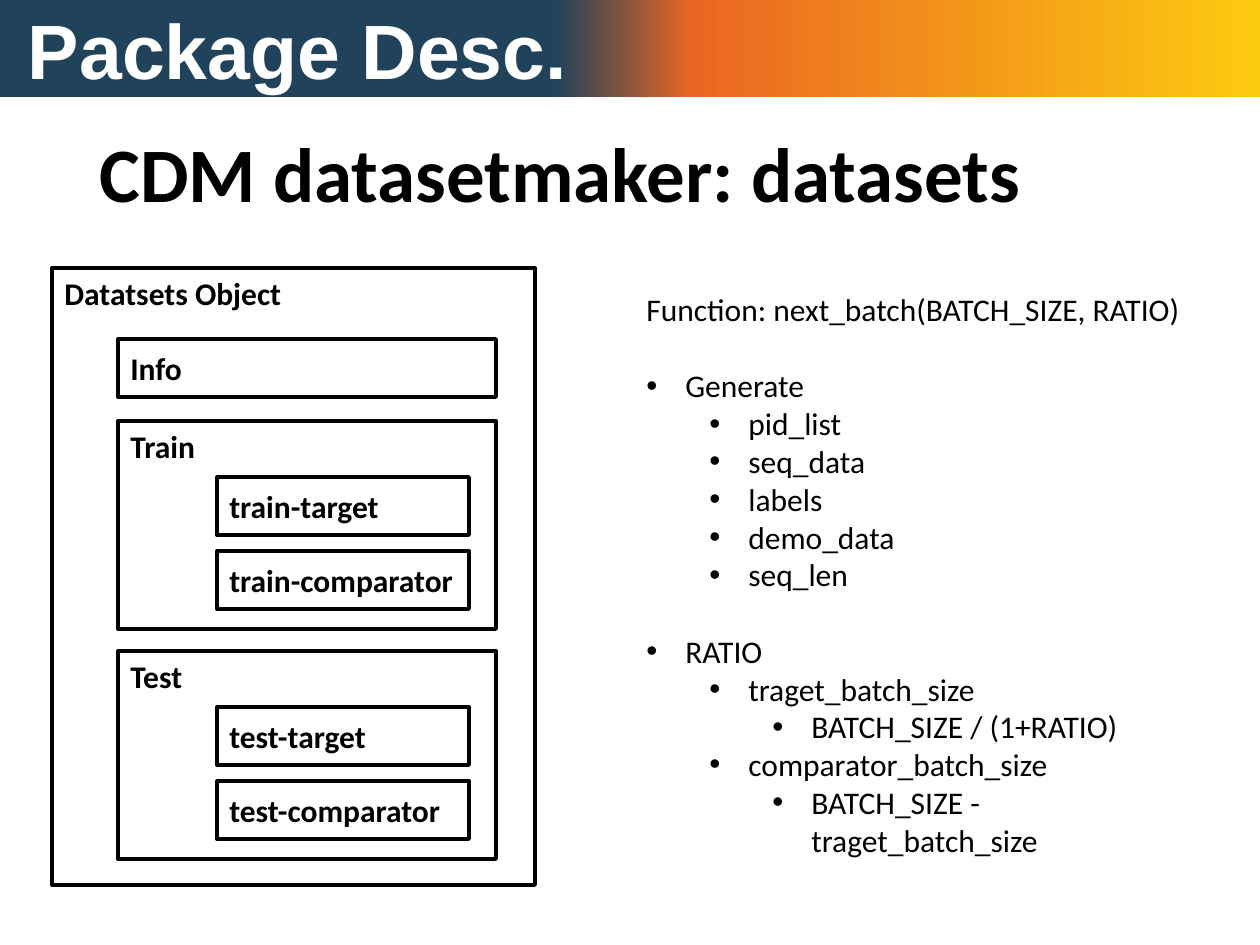
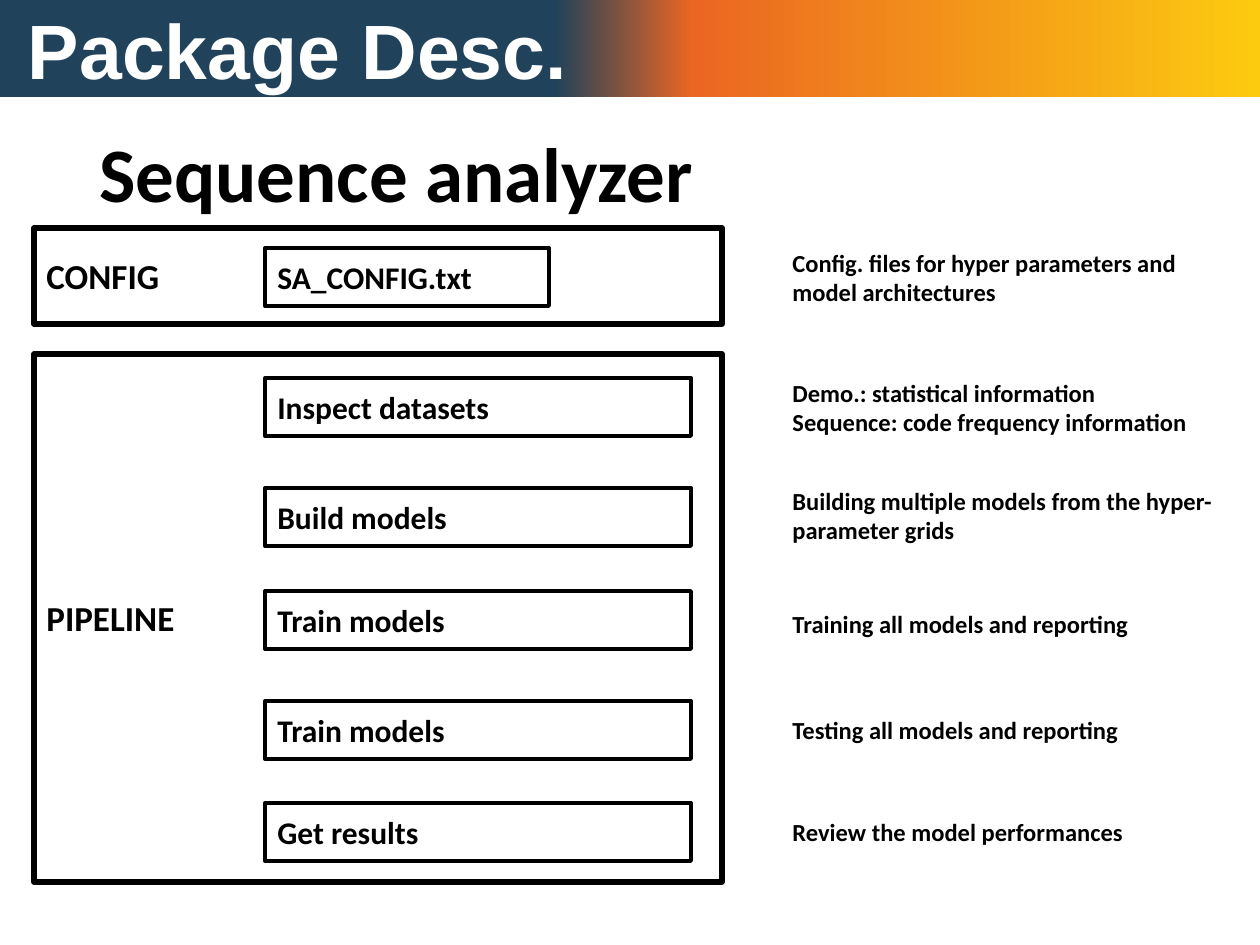
import pptx
import copy
import lxml.etree
import pptx.util
import pptx.dml.color
import pptx.enum.shapes
import pptx.enum.text
import pptx.oxml.ns

PX = 914400 / 126
COLORS = {"navy": "20425A", "orange": "EB6622", "yellow": "FCCB10",
          "ink": "000000", "white": "FFFFFF"}
BAND_STOPS = [(0, "navy"), (0.44, "navy"), (0.55, "orange"), (1, "yellow")]
BAND_TITLE = "Package Desc."
MIDDLE = pptx.enum.text.MSO_ANCHOR.MIDDLE
TOP = pptx.enum.text.MSO_ANCHOR.TOP
ROW_HEIGHT = 58

DATASETS_TITLE = "CDM datasetmaker: datasets"
DATASETS_OBJECT = "Datatsets Object"
INFO = "Info"
SPLITS = [
    ("Train", 421, ["train-target", "train-comparator"]),
    ("Test", 651, ["test-target", "test-comparator"]),
]
FUNCTION_LINES = [
    (None, "Function: next_batch(BATCH_SIZE, RATIO)"),
    (0, "Generate"),
    (1, "pid_list"),
    (1, "seq_data"),
    (1, "labels"),
    (1, "demo_data"),
    (1, "seq_len"),
    (0, "RATIO"),
    (1, "traget_batch_size"),
    (2, "BATCH_SIZE / (1+RATIO)"),
    (1, "comparator_batch_size"),
    (2, "BATCH_SIZE - traget_batch_size"),
]

ANALYZER_TITLE = "Sequence analyzer"
STAGES = [("CONFIG", 228, 96), ("PIPELINE", 354, 528)]
STEPS = [
    ("SA_CONFIG.txt", 248, 284, 248,
     ["Config. files for hyper parameters and model architectures"]),
    ("Inspect datasets", 378, 426, 378,
     ["Demo.: statistical information", "Sequence: code frequency information"]),
    ("Build models", 488, 426, 486,
     ["Building multiple models from the hyper-parameter grids"]),
    ("Train models", 591, 426, 595, ["Training all models and reporting"]),
    ("Train models", 701, 426, 701, ["Testing all models and reporting"]),
    ("Get results", 803, 426, 803, ["Review the model performances"]),
]


def px(length):
    return pptx.util.Emu(round(length * PX))


def color(name):
    return pptx.dml.color.RGBColor.from_string(COLORS[name])


def add_bullet(para, level):
    para.level = level
    properties = para._p.get_or_add_pPr()
    properties.set("marL", str(px(39 + 63 * level)))
    properties.set("indent", str(px(-39)))
    for tag, key, value in (("a:buFont", "typeface", "Arial"), ("a:buChar", "char", "•")):
        lxml.etree.SubElement(properties, pptx.oxml.ns.qn(tag)).set(key, value)


def write(box, lines, size=18, bold=True, font="Calibri", ink="ink",
          anchor=MIDDLE, spacing=None, left_inset=None):
    frame = box.text_frame
    frame.word_wrap = True
    frame.vertical_anchor = anchor
    if left_inset is not None:
        frame.margin_left = px(left_inset)
    for index, (level, text) in enumerate(lines):
        para = frame.paragraphs[0] if index == 0 else frame.add_paragraph()
        para.alignment = pptx.enum.text.PP_ALIGN.LEFT
        if spacing:
            para.line_spacing = spacing
        if level is not None:
            if level == 0:
                para.space_before = pptx.util.Pt(22)
            add_bullet(para, level)
        span = para.add_run()
        span.text = text
        span.font.size = pptx.util.Pt(size)
        span.font.bold = bold
        span.font.name = font
        span.font.color.rgb = color(ink)


def add_rectangle(page, left, top, width, height):
    box = page.shapes.add_shape(pptx.enum.shapes.MSO_SHAPE.RECTANGLE,
                                px(left), px(top), px(width), px(height))
    box.shadow.inherit = False
    return box


def add_frame(page, text, left, top, width, height, line=2.25, **text_format):
    box = add_rectangle(page, left, top, width, height)
    box.fill.background()
    box.line.color.rgb = color("ink")
    box.line.width = pptx.util.Pt(line)
    write(box, [(None, text)], **text_format)


def add_text(page, lines, left, top, width, height, **text_format):
    box = page.shapes.add_textbox(px(left), px(top), px(width), px(height))
    write(box, lines, **text_format)


def add_band(page):
    band = add_rectangle(page, 0, 0, 1260, 97)
    band.line.fill.background()
    band.fill.gradient()
    band.fill.gradient_angle = 0
    stop_list = band._element.spPr.find(".//" + pptx.oxml.ns.qn("a:gsLst"))
    while len(stop_list) < len(BAND_STOPS):
        stop_list.append(copy.deepcopy(stop_list[0]))
    for stop, (position, name) in zip(band.fill.gradient_stops, BAND_STOPS):
        stop.position = position
        stop.color.rgb = color(name)
    write(band, [(None, BAND_TITLE)], size=44, font="Arial", ink="white", left_inset=28)


def add_page(deck, title):
    page = deck.slides.add_slide(deck.slide_layouts[6])
    add_band(page)
    add_text(page, [(None, title)], 87, 122, 1086, 111, size=44, spacing=0.9)
    return page


def build_datasets(deck):
    page = add_page(deck, DATASETS_TITLE)
    add_frame(page, DATASETS_OBJECT, 52, 268, 483, 617, anchor=TOP)
    add_frame(page, INFO, 118, 339, 378, ROW_HEIGHT)
    for name, top, parts in SPLITS:
        add_frame(page, name, 118, top, 378, 208, anchor=TOP)
        for index, part in enumerate(parts):
            add_frame(page, part, 217, top + 56 + 74 * index, 252, ROW_HEIGHT)
    add_text(page, FUNCTION_LINES, 634, 284, 567, 624, bold=False, anchor=TOP)


def build_analyzer(deck):
    page = add_page(deck, ANALYZER_TITLE)
    for name, top, height in STAGES:
        add_frame(page, name, 34, top, 688, height, line=3, size=20)
    for name, top, width, note_top, notes in STEPS:
        add_frame(page, name, 265, top, width, ROW_HEIGHT)
        add_text(page, [(None, note) for note in notes],
                 780, note_top, 449, ROW_HEIGHT, size=14)


def main():
    deck = pptx.Presentation()
    deck.slide_width = px(1260)
    deck.slide_height = px(945)
    build_datasets(deck)
    build_analyzer(deck)
    deck.save("out.pptx")


if __name__ == "__main__":
    main()
